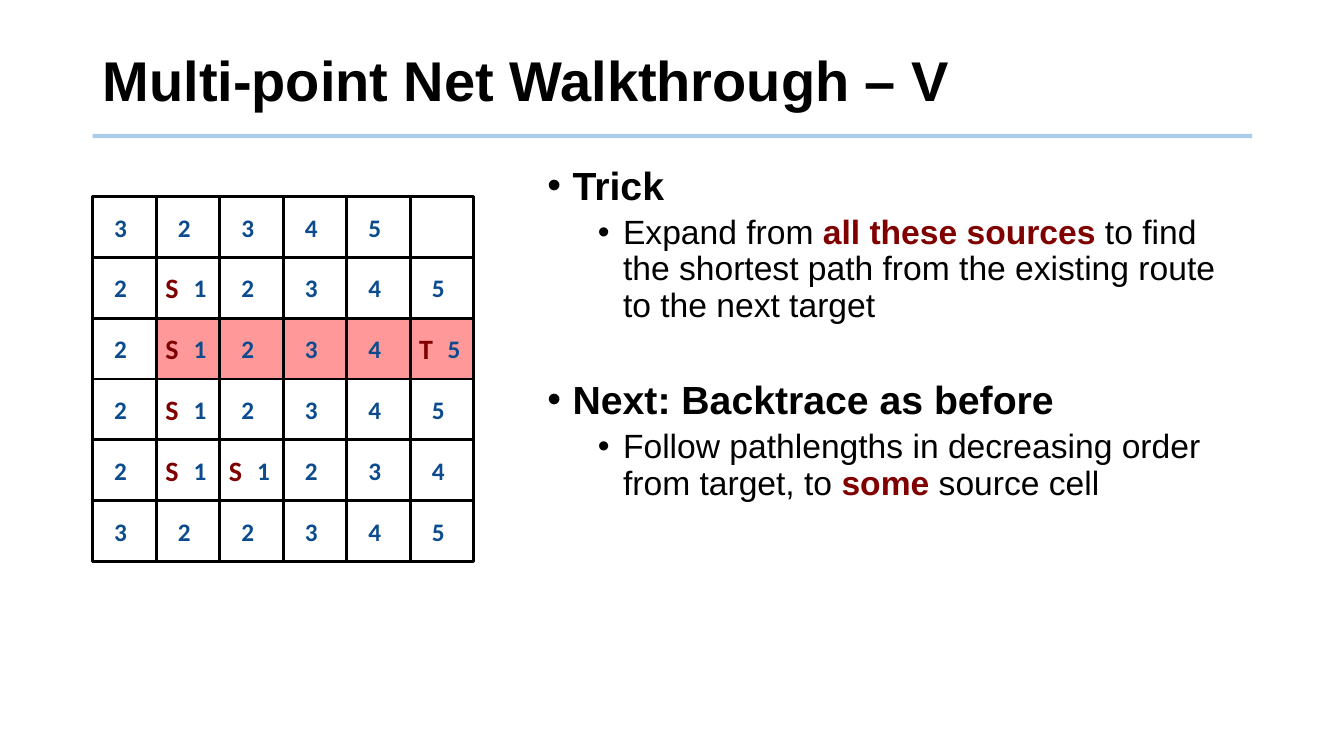
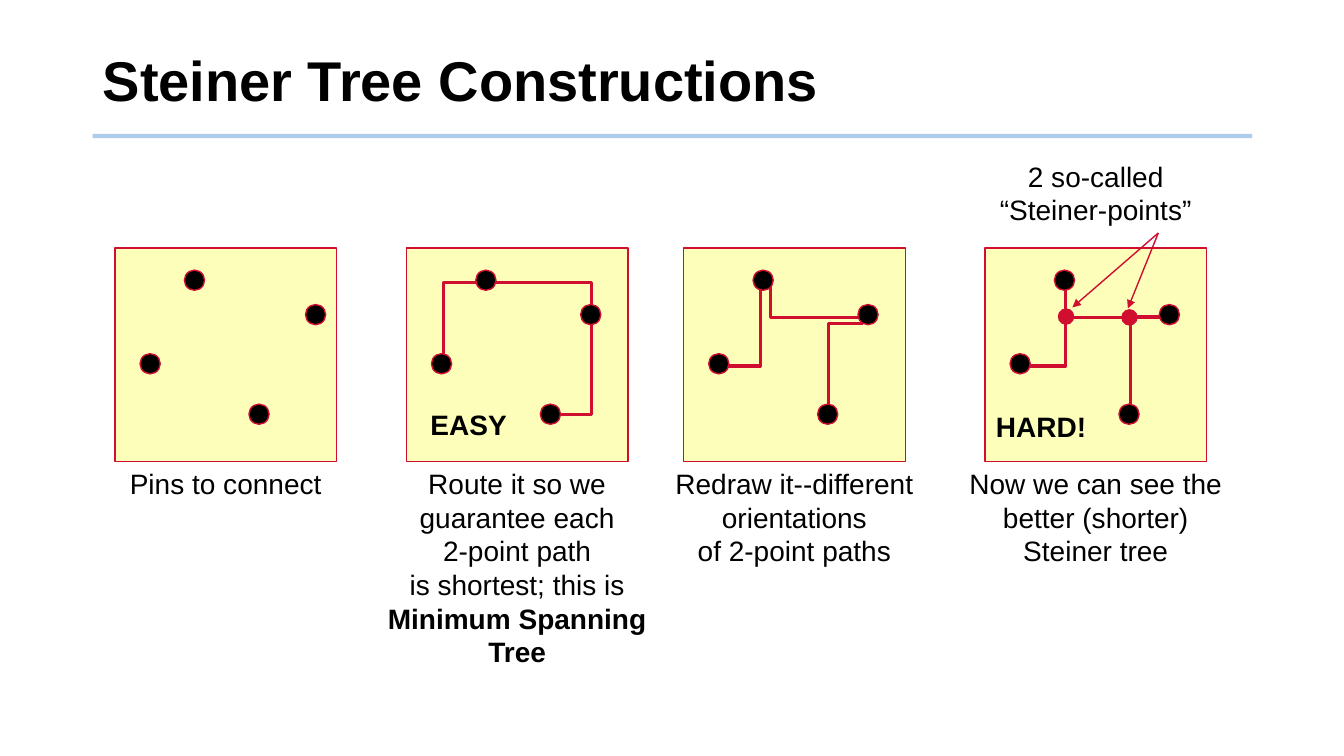
from dataclasses import dataclass

from lxml.etree import SubElement
from pptx import Presentation
from pptx.dml.color import RGBColor as RGB
from pptx.enum.shapes import MSO_CONNECTOR as CONNECTOR, MSO_SHAPE as SHAPE
from pptx.enum.text import MSO_ANCHOR as ANCHOR, MSO_AUTO_SIZE as AUTO, PP_ALIGN as ALIGN
from pptx.oxml.ns import qn
from pptx.util import Inches, Pt


@dataclass(frozen=True)
class Theme:
    black: str = "000000"
    rule: str = "5B9BD5"
    accent: str = "800000"
    digit: str = "0B4B8E"
    route_cell: str = "FF9999"
    panel: str = "FCFEB9"
    wire: str = "CF0E30"
    font: str = "Arial"
    grid_font: str = "Calibri"
    title: int = 40
    heading: int = 28
    body: int = 24
    caption: int = 20
    number: int = 18


@dataclass(frozen=True)
class Area:
    left: float
    top: float
    width: float
    height: float

    def at(self, x, y):
        return (round(self.left + self.width * x / 100),
                round(self.top + self.height * y / 100))

    def sub(self, x, y, w, h):
        return Area(*self.at(x, y), round(self.width * w / 100), round(self.height * h / 100))

    def box(self):
        return self.left, self.top, self.width, self.height


T = Theme()
SLIDE = Area(0, 0, Inches(13.33), Inches(7.5))
TITLE = SLIDE.sub(6.9, 3.73, 86.27, 14.67)
BODY = SLIDE.sub(39.98, 21.33, 53.18, 68.67)
MAZE = SLIDE.sub(6.9, 26, 28.35, 48.27)
CELLS = 6
STEP = 100 / CELLS
COSTS = ["3 2 3 4 5", "2 S1 2 3 4 5", "2 S1 2 3 4 T5",
         "2 S1 2 3 4 5", "2 S1 S1 2 3 4", "3 2 2 3 4 5"]

POINTS = [
    (0, [("Trick", False)]),
    (1, [("Expand from", False), (" all these sources", True),
         (" to find the shortest path from the existing route to the next target", False)]),
    (0, [("Next: Backtrace as before", False)]),
    (1, [("Follow pathlengths in decreasing order from target, to ", False),
         ("some ", True), ("source cell", False)]),
]

PINS = [(15.9, 54.2), (35.9, 15.1), (83.2, 31.2), (65, 77.8)]
SPREAD_PINS = [(90.5, y) if x == 83.2 else (x, y) for x, y in PINS]
PANEL_LEFTS = [8.55, 30.23, 50.86, 73.28]
PANELS = [
    (SPREAD_PINS, [], [[("Pins to connect", False)]]),
    (PINS,
     [[(16.8, 54.7), (16.8, 16), (83.6, 16), (83.6, 77.8), (64.5, 77.8)]],
     [[("Route it so we\nguarantee each\n2-point path", False)],
      [("is shortest; this is\n", False), ("Minimum Spanning\nTree", True)]]),
    (PINS,
     [[(15.9, 55.2), (34.5, 55.2), (34.5, 15.1)],
      [(39.1, 17), (39.1, 32.5), (80, 32.5)],
      [(80.9, 35.4), (65.5, 35.4), (65.5, 77.8)]],
     [[("Redraw it--different", False)], [("orientations", False)],
      [("of 2-point paths", False)]]),
    (PINS,
     [[(17.7, 55.2), (36.4, 55.2), (36.4, 15.1)],
      [(36.4, 16.5), (36.4, 32.5), (81.4, 32.5)],
      [(80.5, 32.1), (65.5, 32.1), (65.5, 74.5)]],
     [[("Now we can see the", False)], [("better (shorter)", False)],
      [("Steiner tree", False)]]),
]
STEINER_POINTS = [(36.6, 32.1), (65.2, 32.5)]
ARROW_START = (78.2, -7)
ARROW_ENDS = [(39.5, 27.8), (64.5, 28.3)]


def write(p, text, size=T.caption, color=T.black, bold=False, font=T.font):
    for i, part in enumerate(text.split("\n")):
        if i:
            p.add_line_break()
        if part:
            r = p.add_run()
            r.text = part
            r.font.name = font
            r.font.size = Pt(size)
            r.font.bold = bold
            r.font.color.rgb = RGB.from_string(color)


def paragraph(tf, index):
    return tf.add_paragraph() if index else tf.paragraphs[0]


def add_text(slide, area, paragraphs, align=ALIGN.CENTER, anchor=ANCHOR.TOP, margins=True, **fmt):
    tf = slide.shapes.add_textbox(*area.box()).text_frame
    tf.word_wrap = True
    tf.vertical_anchor = anchor
    if not margins:
        tf.margin_left = tf.margin_right = tf.margin_top = tf.margin_bottom = 0
    for i, runs in enumerate(paragraphs):
        p = paragraph(tf, i)
        p.alignment = align
        for text, bold in runs:
            write(p, text, bold=bold, **fmt)


def paint(sp, fill=None, line=None, weight=1):
    sp.shadow.inherit = False
    if fill:
        sp.fill.solid()
        sp.fill.fore_color.rgb = RGB.from_string(fill)
    else:
        sp.fill.background()
    if line:
        sp.line.color.rgb = RGB.from_string(line)
        sp.line.width = Pt(weight)
    else:
        sp.line.fill.background()


def add_shape(slide, kind, area, **style):
    paint(slide.shapes.add_shape(kind, *area.box()), **style)


def add_dot(slide, panel, center, size, **style):
    x, y = panel.at(*center)
    d = Inches(size)
    add_shape(slide, SHAPE.OVAL, Area(x - d // 2, y - d // 2, d, d), **style)


def add_line(slide, start, end, color, weight, arrow=False, alpha=None):
    line = slide.shapes.add_connector(CONNECTOR.STRAIGHT, *start, *end)
    line.line.color.rgb = RGB.from_string(color)
    line.line.width = Pt(weight)
    props = line.element.spPr
    if arrow:
        SubElement(props.find(qn("a:ln")), qn("a:tailEnd"), type="triangle")
    if alpha:
        SubElement(next(props.iter(qn("a:srgbClr"))), qn("a:alpha"), val=str(alpha * 1000))
    SubElement(props, qn("a:effectLst"))
    return line


def add_route(slide, panel, points):
    first, *rest = [panel.at(*point) for point in points]
    builder = slide.shapes.build_freeform(*first, scale=1.0)
    builder.add_line_segments(rest, close=False)
    paint(builder.convert_to_shape(), line=T.wire, weight=2.25)


def place(sp, area):
    sp.left, sp.top, sp.width, sp.height = area.box()
    tf = sp.text_frame
    tf.word_wrap = True
    tf.auto_size = AUTO.NONE
    return tf


def add_slide(prs, layout, title):
    slide = prs.slides.add_slide(prs.slide_layouts.get_by_name(layout))
    tf = place(slide.shapes.title, TITLE)
    tf.vertical_anchor = ANCHOR.MIDDLE
    p = tf.paragraphs[0]
    p.alignment = ALIGN.LEFT
    p.line_spacing = 0.9
    write(p, title, size=T.title, bold=True)
    return slide


def add_master_rule(prs, slide):
    rule = add_line(slide, SLIDE.at(6.9, 18), SLIDE.at(93.17, 18), T.rule, 3, alpha=50)
    prs.slide_master.shapes.element.append(rule.element)


def fill_body(slide, points):
    tf = place(slide.placeholders[1], BODY)
    for i, (level, runs) in enumerate(points):
        p = paragraph(tf, i)
        p.level = level
        props = p._p.get_or_add_pPr()
        props.set("marL", str(Inches(0.25 + 0.5 * level)))
        props.set("indent", str(-Inches(0.25)))
        SubElement(props, qn("a:buFont"), typeface=T.font)
        SubElement(props, qn("a:buChar"), char="•")
        p.line_spacing = 0.9
        if i:
            p.space_before = Pt(5 if level else 40)
        else:
            p.space_before = Pt(0)
        for text, strong in runs:
            write(p, text, size=T.body if level else T.heading,
                  color=T.accent if strong else T.black, bold=strong or not level)


def add_cell(slide, col, row, label):
    cell = MAZE.sub(col * STEP, row * STEP, STEP, STEP)
    style = dict(anchor=ANCHOR.MIDDLE, margins=False, font=T.grid_font)
    mark, cost = label[:-1], label[-1]
    if mark:
        add_text(slide, cell.sub(-2, 17, 54, 66), [[(mark, True)]],
                 size=T.caption, color=T.accent, **style)
    add_text(slide, cell.sub(42 if mark else 17, 17, 54, 66), [[(cost, True)]],
             size=T.number, color=T.digit, **style)


def add_maze(slide):
    add_shape(slide, SHAPE.RECTANGLE, MAZE.sub(STEP, 2 * STEP, 5 * STEP, STEP), fill=T.route_cell)
    add_shape(slide, SHAPE.RECTANGLE, MAZE, line=T.black, weight=2)
    for i in range(1, CELLS):
        add_line(slide, MAZE.at(0, i * STEP), MAZE.at(100, i * STEP), T.black, 2)
        add_line(slide, MAZE.at(i * STEP, 0), MAZE.at(i * STEP, 100), T.black, 2)
    for row, costs in enumerate(COSTS):
        for col, label in enumerate(costs.split()):
            add_cell(slide, col, row, label)


def add_panel(slide, left, pins, routes, caption):
    panel = SLIDE.sub(left, 32.8, 16.5, 28.27)
    add_shape(slide, SHAPE.RECTANGLE, panel, fill=T.panel, line=T.wire)
    for route in routes:
        add_route(slide, panel, route)
    for pin in pins:
        add_dot(slide, panel, pin, 0.2, fill=T.black, line=T.wire)
    lines = len(caption) + sum(text.count("\n") for runs in caption for text, _ in runs)
    add_text(slide, panel.sub(-25, 100, 150, 5 + 15.7 * lines), caption)
    return panel


def add_steiner_points(slide, panel):
    for point in STEINER_POINTS:
        add_dot(slide, panel, point, 0.15, fill=T.wire, line=T.wire)
    for end in ARROW_ENDS:
        add_line(slide, panel.at(*ARROW_START), panel.at(*end), T.wire, 1, arrow=True)
    add_text(slide, panel.sub(-8, -43.9, 116, 36), [[("2 so-called\n“Steiner-points”", False)]])


def main():
    prs = Presentation()
    prs.slide_width, prs.slide_height = SLIDE.width, SLIDE.height

    walkthrough = add_slide(prs, "Title and Content", "Multi-point Net Walkthrough – V")
    add_master_rule(prs, walkthrough)
    add_maze(walkthrough)
    fill_body(walkthrough, POINTS)

    steiner = add_slide(prs, "Title Only", "Steiner Tree Constructions")
    panels = [add_panel(steiner, left, *content) for left, content in zip(PANEL_LEFTS, PANELS)]
    add_steiner_points(steiner, panels[3])
    for panel, x, y, verdict in [(panels[1], 6.4, 72.2, "EASY"), (panels[3], 0.5, 73.1, "HARD!")]:
        add_text(steiner, panel.sub(x, y, 60, 25), [[(verdict, True)]], align=ALIGN.LEFT)

    prs.save("out.pptx")


if __name__ == "__main__":
    main()
